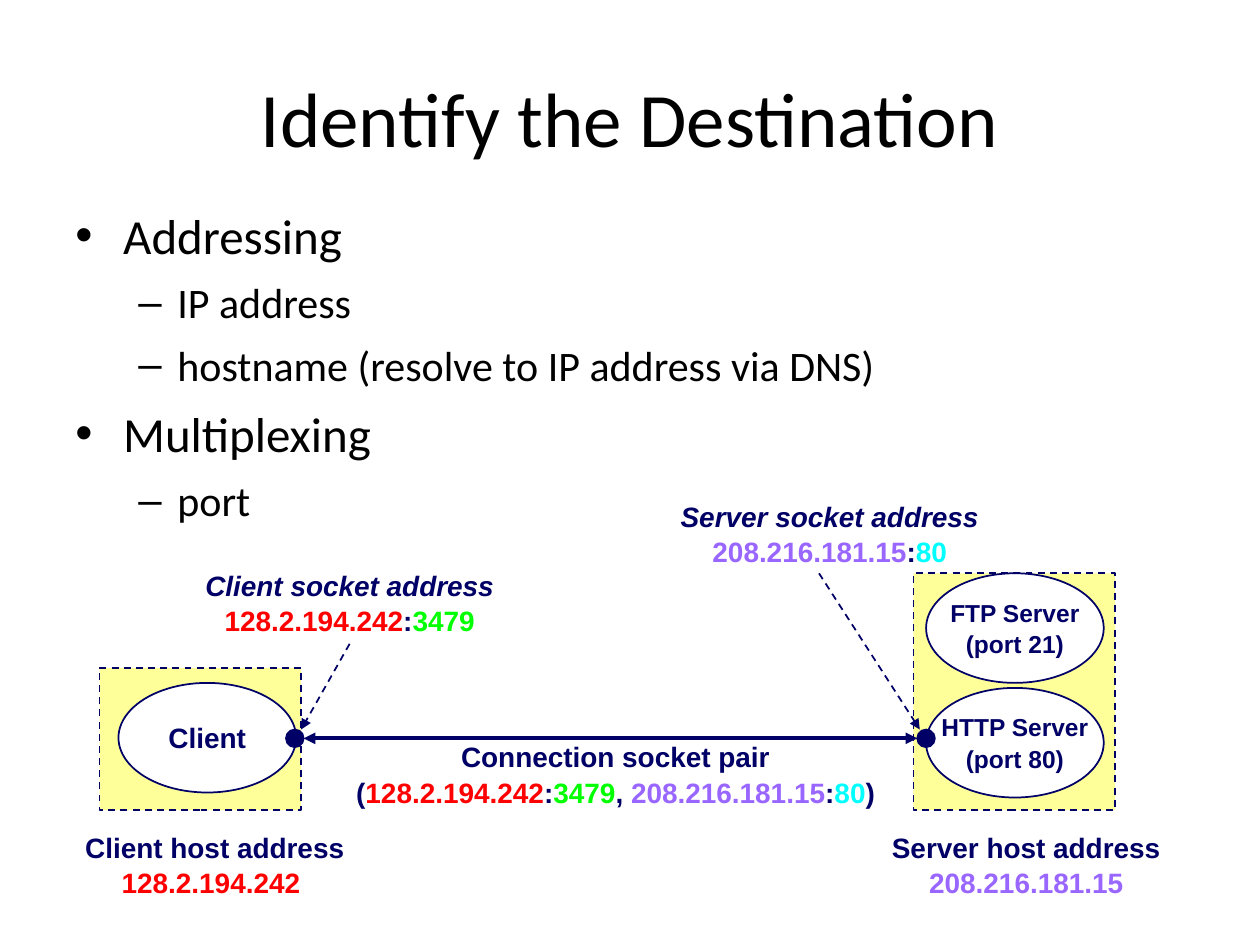
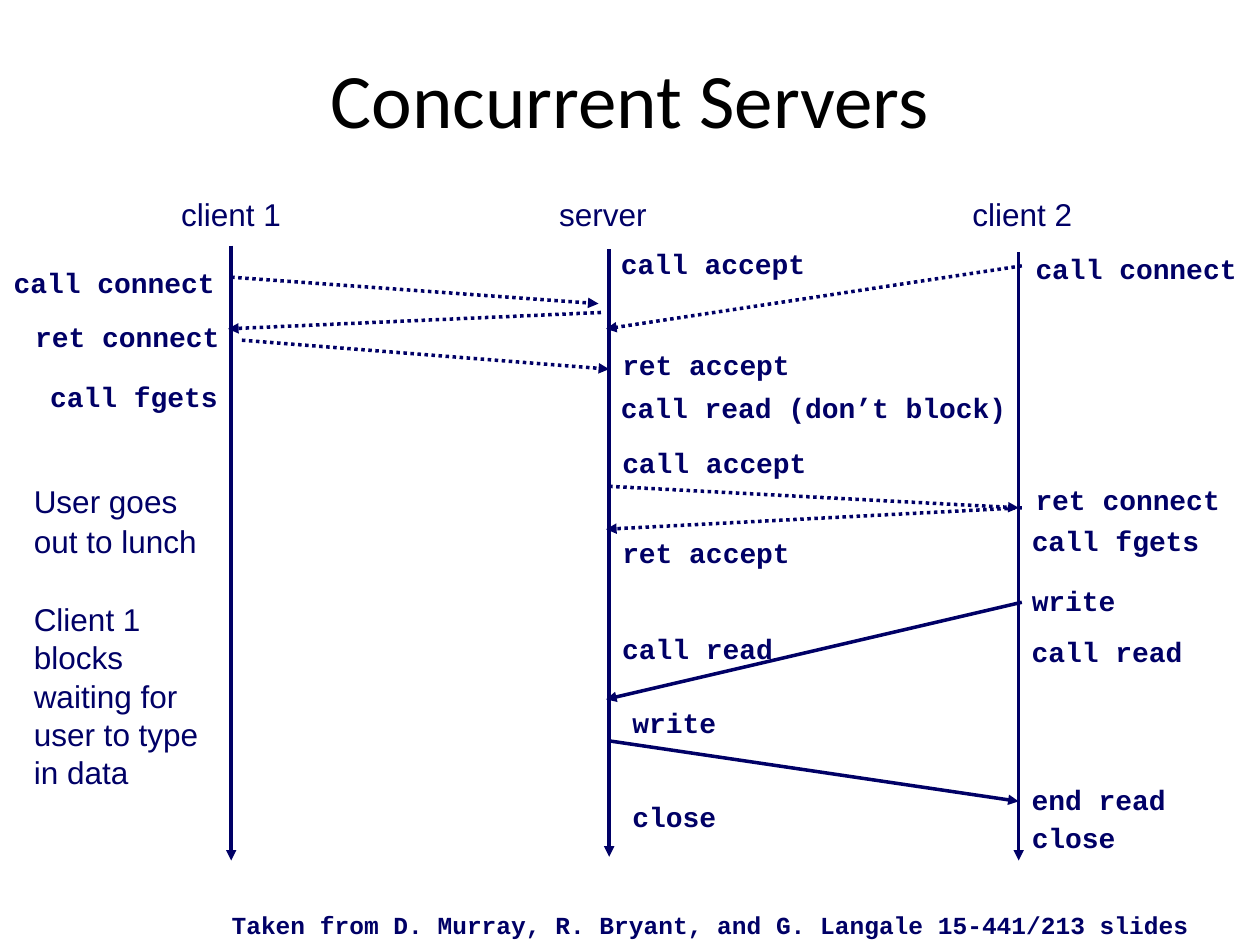
from lxml import etree
from pptx import Presentation, util as u
from pptx.dml.color import RGBColor
from pptx.enum import dml, shapes, text
from pptx.oxml.ns import qn

BLACK = RGBColor(0x00, 0x00, 0x00)
WHITE = RGBColor(0xFF, 0xFF, 0xFF)
NAVY = RGBColor(0x00, 0x00, 0x66)
YELLOW = RGBColor(0xFF, 0xFF, 0x99)
RED = RGBColor(0xFF, 0x00, 0x00)
GREEN = RGBColor(0x00, 0xFF, 0x00)
PURPLE = RGBColor(0x99, 0x66, 0xFF)
CYAN = RGBColor(0x00, 0xFF, 0xFF)

HEADING, SANS, CODE = "Calibri", "Arial", "Courier New"
COLUMNS, ROWS = 100, 75
CELL = u.Inches(0.1)  # the grid has square cells
LEFT, CENTER = text.PP_ALIGN.LEFT, text.PP_ALIGN.CENTER
TOP, MIDDLE = text.MSO_ANCHOR.TOP, text.MSO_ANCHOR.MIDDLE
DASH, DOTS = dml.MSO_LINE.DASH, dml.MSO_LINE.ROUND_DOT
RECTANGLE, OVAL = shapes.MSO_SHAPE.RECTANGLE, shapes.MSO_SHAPE.OVAL

# Socket addresses: lists of (text, colour)
COLON = (":", NAVY)
CLIENT_IP, SERVER_IP = ("128.2.194.242", RED), ("208.216.181.15", PURPLE)
CLIENT_SOCKET = [CLIENT_IP, COLON, ("3479", GREEN)]
SERVER_SOCKET = [SERVER_IP, COLON, ("80", CYAN)]


def cells(*counts):
    return [round(count * CELL) for count in counts]


# ---- Text ----
def write(para, spans, size, font=SANS, color=NAVY, bold=False, italic=False,
          align=LEFT, before=0.5):
    """Fill a paragraph from a string or from (text, colour) spans."""
    para.alignment = align
    para.space_before, para.space_after = u.Pt(before), u.Pt(0.5)
    if isinstance(spans, str):
        spans = [(spans, color)]
    for words, span_color in spans:
        span = para.add_run()
        span.text = words
        span.font.name, span.font.size = font, u.Pt(size)
        span.font.bold, span.font.italic = bold, italic
        span.font.color.rgb = span_color


def next_para(frame, index):
    return frame.add_paragraph() if index else frame.paragraphs[0]


def add_text(page, area, lines, size, anchor=TOP, **style):
    box = page.shapes.add_textbox(*cells(*area))
    frame = box.text_frame
    frame.word_wrap, frame.vertical_anchor = True, anchor
    for index, line in enumerate(lines):
        write(next_para(frame, index), line, size, **style)
    return box


def add_title(page, words, area):
    return add_text(page, area, [words], 44, anchor=MIDDLE,
                    font=HEADING, color=BLACK, align=CENTER)


def add_bullets(page, area, items):
    """Items are (level, words)."""
    levels = [("•", 28, 3.8, 3.8, 7.5), ("–", 24, 8.1, 3.1, 6.5)]
    frame = add_text(page, area, [], 28).text_frame
    for index, (level, words) in enumerate(items):
        mark, size, margin, hang, before = levels[level]
        para = next_para(frame, index)
        para.level = level
        write(para, words, size, HEADING, BLACK, before=before)
        props = para._p.get_or_add_pPr()
        margin, hang = cells(margin, hang)
        props.set("marL", str(margin))
        props.set("indent", str(-hang))
        etree.SubElement(props, qn("a:buFont")).set("typeface", SANS)
        etree.SubElement(props, qn("a:buChar")).set("char", mark)


def add_caption(page, area, heading, address, italic=False):
    """Two centred lines: a heading over a coloured address."""
    box = add_text(page, area, [heading], 16, MIDDLE, bold=True,
                   italic=italic, align=CENTER)
    write(box.text_frame.add_paragraph(), address, 16, bold=True, align=CENTER)
    return box


# ---- Shapes and lines ----
def add_figure(page, kind, area, fill, dash=None, lines=(), size=16):
    figure = page.shapes.add_shape(kind, *cells(*area))
    figure.shadow.inherit = False
    figure.fill.solid()
    figure.fill.fore_color.rgb = fill
    figure.line.color.rgb, figure.line.width = NAVY, u.Pt(1)
    if dash:
        figure.line.dash_style = dash
    frame = figure.text_frame
    frame.word_wrap, frame.vertical_anchor = False, MIDDLE
    for index, line in enumerate(lines):
        write(next_para(frame, index), line, size, bold=True, align=CENTER)
    return figure


def add_arrow(page, start, end, width, dash=None, both_ends=False):
    arrow = page.shapes.add_connector(shapes.MSO_CONNECTOR.STRAIGHT,
                                      *cells(*start, *end))
    arrow.line.color.rgb, arrow.line.width = NAVY, u.Pt(width)
    if dash:
        arrow.line.dash_style = dash
    outline = arrow.line._get_or_add_ln()
    for tip in ("a:headEnd", "a:tailEnd")[0 if both_ends else 1:]:
        etree.SubElement(outline, qn(tip)).set("type", "triangle")
    etree.SubElement(arrow._element.spPr, qn("a:effectLst"))
    return arrow


# ---- Slides ----
def build_destination(page):
    add_title(page, "Identify the Destination", (5, 3, 90, 12.5))
    add_bullets(page, (5, 15.8, 90, 25.8), [
        (0, "Addressing"), (1, "IP address"),
        (1, "hostname (resolve to IP address via DNS)"),
        (0, "Multiplexing"), (1, "port")])

    # Hosts
    for area in ((72.5, 45.5, 16, 18.8), (7.9, 53, 16, 11.3)):
        add_figure(page, RECTANGLE, area, YELLOW, DASH)
    add_caption(page, (25.8, 58.2, 46.1, 6.5), "Connection socket pair",
                [("(", NAVY), *CLIENT_SOCKET, (", ", NAVY), *SERVER_SOCKET, (")", NAVY)])

    # Processes
    for left, top, lines, size in (
            (73.5, 54.6, ["HTTP Server", "(port 80)"], 14),
            (9.4, 54.2, ["Client"], 16),
            (73.5, 45.5, ["FTP Server", "(port 21)"], 14)):
        add_figure(page, OVAL, (left, top, 14.1, 8.7), WHITE, lines=lines, size=size)

    # Connection between the two sockets
    add_arrow(page, (24.1, 58.6), (72.8, 58.6), 2.25, both_ends=True)
    for left in (22.7, 72.8):
        add_figure(page, OVAL, (left, 57.9, 1.4, 1.4), NAVY)

    # Addresses
    client = add_caption(page, (14.3, 44.6, 26.9, 6.5), "Client socket address",
                         CLIENT_SOCKET, italic=True)
    add_caption(page, (51.7, 39.1, 28.3, 6.5), "Server socket address",
                SERVER_SOCKET, italic=True)
    add_arrow(page, (27.7, 51), (23.9, 57.9), 1, DASH).begin_connect(client, 2)
    add_arrow(page, (65, 45.5), (73, 57.9), 1, DASH)
    add_caption(page, (4.8, 65.4, 24.5, 6.5), "Client host address",
                [("128.2.194.242 ", RED)])
    add_caption(page, (68.8, 65.4, 25.3, 6.5), "Server host address", [SERVER_IP])


def build_concurrent(page):
    title = add_title(page, "Concurrent Servers", (10.9, 2.5, 78.2, 12.5))
    frame = title.text_frame
    frame.margin_left = frame.margin_right = frame.margin_top = frame.margin_bottom = 0
    frame.paragraphs[0].line_spacing = 0.65

    # Lifelines: name, text left, line x, top, bottom
    client1, server, client2 = 18.35, 48.35, 80.85
    for name, left, x, top, bottom in (
            ("client 1", 13.4, client1, 19.5, 68.3),
            ("server", 43.4, server, 19.8, 68),
            ("client 2", 76.2, client2, 20, 68.3)):
        add_text(page, (left, 14.95, 12, 4), [name], 18)
        add_arrow(page, (x, top), (x, bottom), 2)

    # Messages: from x, y, to x, y
    handshakes = [
        (client1, 22, 47.5, 24.1), (47.7, 24.8, 18.1, 26.1),
        (19.2, 27, server, 29.3), (81.1, 21.1, 48.1, 26.1),
        (server, 38.6, client2, 40.3), (81.1, 40.3, 48.1, 42)]
    transfers = [(81.1, 47.8, 48.1, 55.5), (server, 58.8, client2, 63.6)]
    for messages, dash in ((handshakes, DOTS), (transfers, None)):
        for x1, y1, x2, y2 in messages:
            add_arrow(page, (x1, y1), (x2, y2), 2, dash)

    # Calls beside the lifelines: left, top, words
    for left, top, words in (
            (0.1, 20.6, "call connect"), (1.8, 24.9, "ret connect"),
            (3, 29.6, "call fgets"),
            (48.3, 19.1, "call accept"), (48.4, 27.1, "ret accept"),
            (48.3, 30.5, "call read (don’t block)"), (48.4, 34.9, "call accept"),
            (48.4, 42, "ret accept"), (48.4, 49.6, "call read"),
            (49.2, 55.5, "write"), (49.2, 63, "close"),
            (81.2, 19.5, "call connect"), (81.2, 37.8, "ret connect"),
            (80.9, 41.1, "call fgets"), (80.9, 45.8, "write"),
            (80.9, 49.9, "call read"), (80.9, 61.6, "end read"),
            (80.9, 64.6, "close")):
        width = 2.5 + 1.34 * len(words)  # fixed-pitch letters plus margins
        add_text(page, (left, top, width, 3.7), [words], 16, font=CODE, bold=True)

    # Side remark and credit line
    remark = add_text(page, (1.7, 37.8, 16.7, 25.6), [
        "User goes", "out to lunch", "Client 1 blocks",
        "waiting for user to type in data"], 18)
    remark.text_frame.paragraphs[2].space_before = u.Pt(22.5)
    add_text(page, (17.4, 71.7, 81, 3.3),
             ["Taken from D. Murray, R. Bryant, and G. Langale 15-441/213 slides"],
             14, font=CODE, bold=True)


def main():
    deck = Presentation()
    deck.slide_width, deck.slide_height = cells(COLUMNS, ROWS)
    blank = deck.slide_layouts[6]
    for build in (build_destination, build_concurrent):
        build(deck.slides.add_slide(blank))
    deck.save("out.pptx")


if __name__ == "__main__":
    main()
